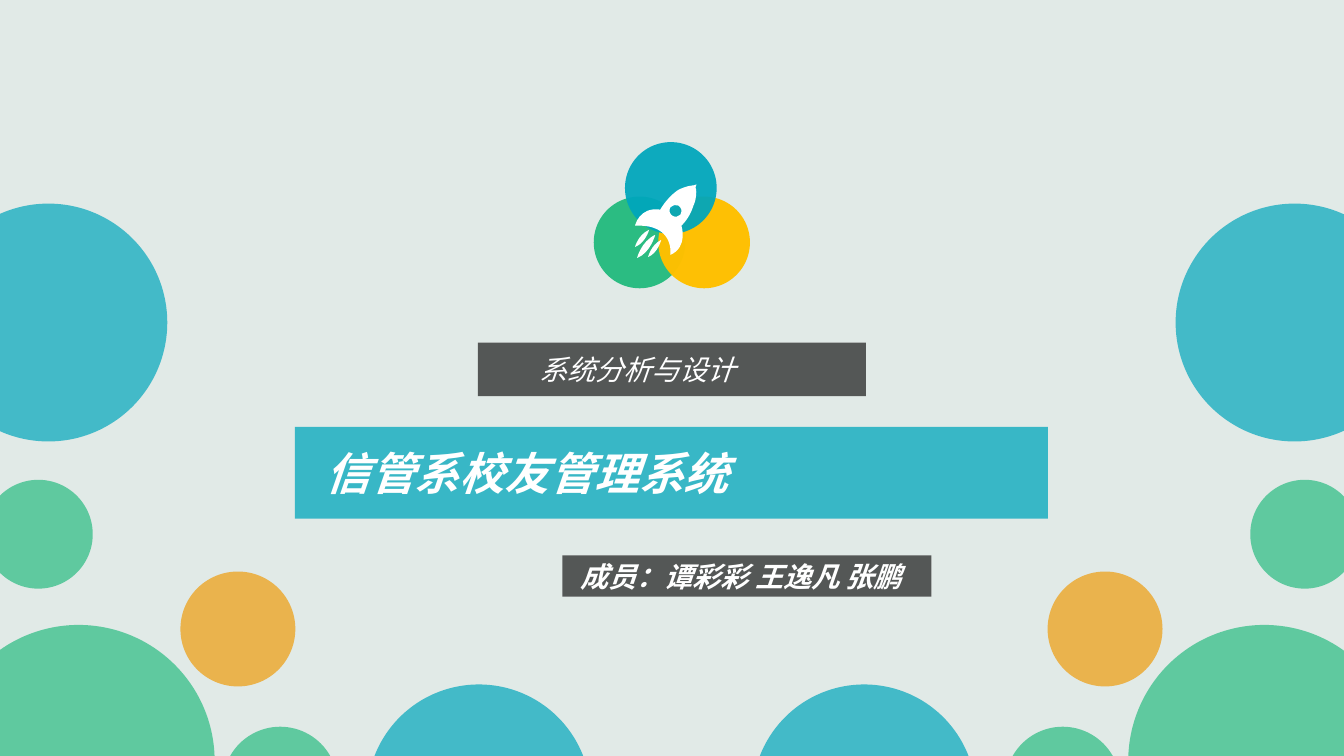
import pptx
import pptx.util
import pptx.dml.color
import pptx.enum.shapes
import pptx.enum.text
import pptx.oxml.ns
import lxml.etree

KIND = pptx.enum.shapes.MSO_SHAPE
FIT = pptx.enum.text.MSO_AUTO_SIZE
ALIGN = pptx.enum.text.PP_ALIGN
TEAL, GREEN, AMBER = "00A6BC", "20BA7C", "EF9802"
GOLD, DARK, WHITE = "FFC000", "262626", "FFFFFF"
WIDE, TALL = 133.33, 75
SANS, HAN = "Open Sans", "Noto Sans CJK SC"


def unit(cells):
    """Turn grid cells, a tenth of an inch each, into a length."""
    return pptx.util.Inches(cells / 10)


def tint(code):
    """Turn a hex string into a colour."""
    return pptx.dml.color.RGBColor.from_string(code)


def name(tag):
    """Give the full name of a drawing tag."""
    return pptx.oxml.ns.qn("a:" + tag)


def paint(shape, code, alpha=100):
    """Fill a shape without outline or shadow, with an opacity in percent."""
    shape.shadow.inherit = False
    shape.line.fill.background()
    shape.fill.solid()
    shape.fill.fore_color.rgb = tint(code)
    if alpha < 100:
        node = next(shape._element.spPr.iter(name("srgbClr")))
        mark = lxml.etree.SubElement(node, name("alpha"))
        mark.set("val", str(alpha * 1000))


def block(shapes, kind, box, code, alpha):
    """Add a filled preset shape in a box of grid cells."""
    paint(shapes.add_shape(kind, *map(unit, box)), code, alpha)


def curve(shape):
    """Join every three straight segments of a freeform into one cubic curve."""
    lines = list(shape._element.spPr.iter(name("lnTo")))
    for spot in range(0, len(lines), 3):
        bend = lxml.etree.Element(name("cubicBezTo"))
        lines[spot].addprevious(bend)
        for line in lines[spot:spot + 3]:
            bend.append(line[0])
            line.getparent().remove(line)


def trace(shapes, box, loops):
    """Draw white curved loops given in tenths of a cell from the box corner."""
    left, top = box[:2]
    loops = [[(unit(left + x / 10), unit(top + y / 10)) for x, y in loop]
             for loop in loops]
    pen = shapes.build_freeform(*loops[0][0], scale=1.0)
    for spot, loop in enumerate(loops):
        if spot:
            pen.move_to(*loop[0])
        pen.add_line_segments(loop[1:], close=True)
    shape = pen.convert_to_shape()
    curve(shape)
    paint(shape, WHITE)


def rocket(shapes, box):
    """Draw the rocket body with its window and three flames."""
    hull = [(46, 41), (53, 34), (56, 27), (58, 21),
            (58, 21), (59, 19), (60, 15), (61, 9), (61, 5), (60, 3),
            (61, 2), (61, 1), (61, 0), (60, 0), (59, 0), (58, 1),
            (58, 1), (51, 1), (42, 6), (31, 14), (25, 25), (25, 25),
            (4, 22), (0, 41), (0, 41), (40, 39), (35, 70), (35, 70),
            (53, 62), (46, 41), (46, 41)]
    pane = [(45, 30), (43, 32), (40, 33), (37, 31),
            (35, 30), (33, 26), (35, 23), (38, 20), (41, 20), (43, 21),
            (46, 23), (47, 26), (45, 30)]
    trace(shapes, box, [hull, pane])
    for x, y, w, h in [(13, 72, 13, 17), (2, 73, 18, 23), (0, 62, 14, 17)]:
        tail, tip = (x, y), (x + w, y - h)
        out = (x + 0.74 * w, y - 0.22 * h)
        back = (x + 0.22 * w, y - 0.71 * h)
        trace(shapes, box, [[tail, out, tip, tip, back, tail, tail]])


def emblem(slide, box):
    """Place three overlapping discs and the rocket in the box."""
    shapes = slide.shapes.add_group_shape().shapes
    left, top = box[:2]
    size = 9.1
    for x, y, code, alpha in [(0, 5.4, GREEN, 94), (6.4, 5.4, GOLD, 98),
                              (3.1, 0, TEAL, 94)]:
        block(shapes, KIND.OVAL, (left + x, top + y, size, size), code, alpha)
    rocket(shapes, (left + 4.1, top + 4.2))


def bubbles(slide, box):
    """Scatter discs on the left of the box and mirror them on the right."""
    shapes = slide.shapes.add_group_shape().shapes
    left, top, width = box[:3]
    for x, y, size, code, alpha in [
            (-7, 20.2, 23.6, TEAL, 70), (-1.6, 47.6, 10.8, GREEN, 67),
            (-5.7, 62, 27, GREEN, 67), (17.9, 56.7, 11.4, AMBER, 67),
            (22.1, 72.1, 11.4, GREEN, 67), (36.4, 67.9, 22.2, TEAL, 70)]:
        for place in (x, width - 0.1 - x - size):
            spot = (left + place, top + y, size, size)
            block(shapes, KIND.OVAL, spot, code, alpha)


def band(shapes, box, code, inner, text, size, face, bold=False, wrap=False,
         align=ALIGN.LEFT):
    """Place a coloured bar and its slanted label, offset from the bar."""
    block(shapes, KIND.RECTANGLE, box, code, 75)
    x, y, w, h = inner
    spot = (box[0] + x, box[1] + y, w, h)
    frame = shapes.add_textbox(*map(unit, spot)).text_frame
    frame.text = text
    frame.word_wrap = wrap
    frame.auto_size = FIT.SHAPE_TO_FIT_TEXT
    para = frame.paragraphs[0]
    para.alignment = align
    font = para.runs[0].font
    font.size = pptx.util.Pt(size)
    font.name = face
    font.bold, font.italic = bold, True
    font.color.rgb = tint(WHITE)
    east = lxml.etree.SubElement(font._element, name("ea"))
    east.set("typeface", face)


def cover(slide, box):
    """Lay out the whole title slide in the box."""
    left, top = box[:2]
    slide.background.fill.solid()
    slide.background.fill.fore_color.rgb = tint("E1EAE7")
    bubbles(slide, box)
    shapes = slide.shapes
    band(shapes.add_group_shape().shapes, (left + 29.25, top + 42.35, 74.7, 9.1),
         TEAL, (1.75, 1.35, 42.6, 6.4), "信管系校友管理系统", 32, SANS,
         bold=True, align=ALIGN.CENTER)
    band(shapes.add_group_shape().shapes, (left + 47.4, top + 34, 38.5, 5.3),
         DARK, (5.1, 0.45, 21.7, 4.4), "系统分析与设计", 20, HAN)
    band(shapes, (left + 55.8, top + 55.1, 36.6, 4.1), DARK,
         (0.8, -0.1, 37.6, 4.4), "成员：谭彩彩 王逸凡 张鹏", 20, HAN,
         bold=True, wrap=True)
    emblem(slide, (left + 58.9, top + 14.1))


def main():
    """Build and save the deck."""
    deck = pptx.Presentation()
    deck.slide_width, deck.slide_height = unit(WIDE), unit(TALL)
    cover(deck.slides.add_slide(deck.slide_layouts[6]), (0, 0, WIDE, TALL))
    deck.save("out.pptx")


if __name__ == "__main__":
    main()
